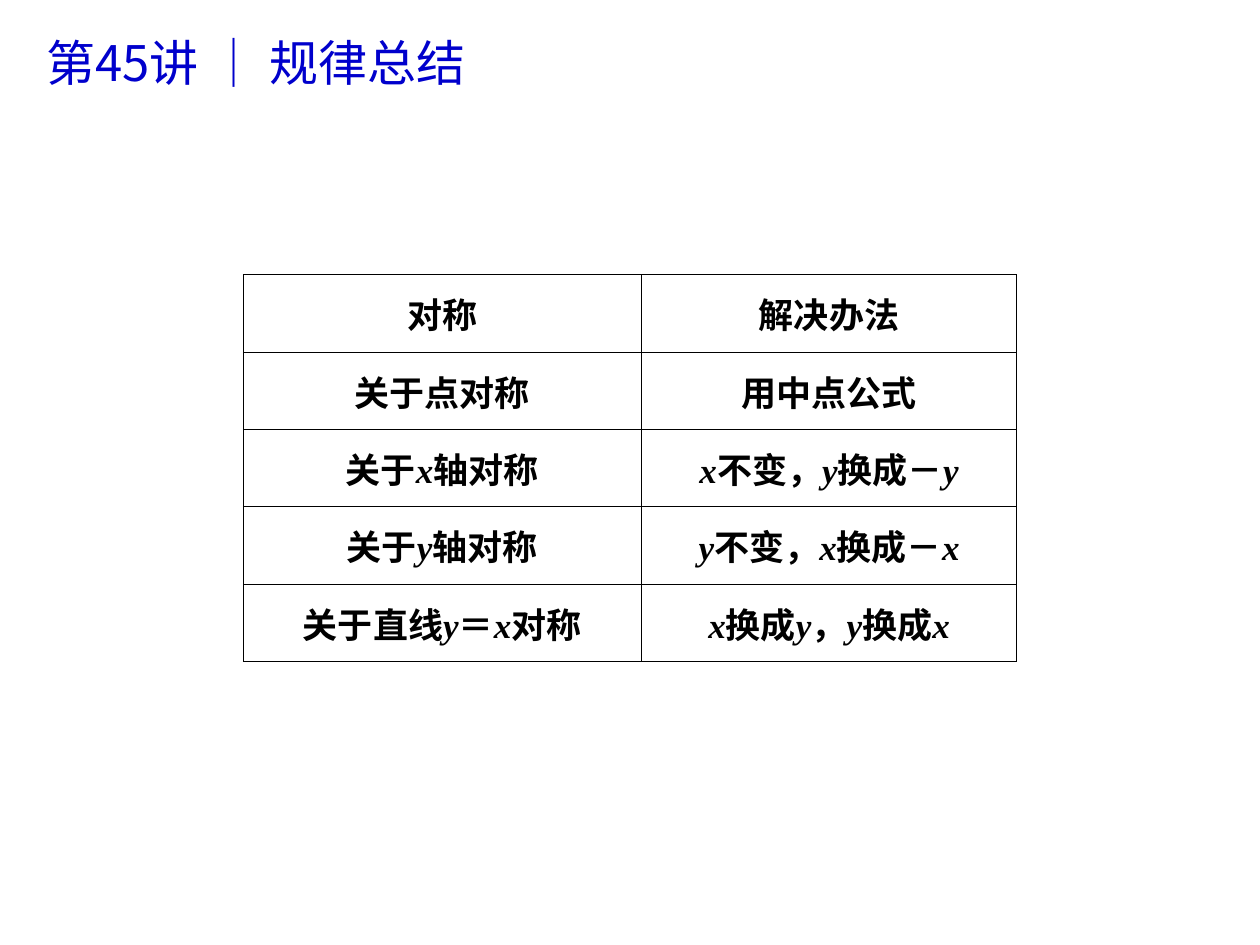
import itertools
from dataclasses import dataclass

import lxml.etree
import pptx
import pptx.dml.color
import pptx.enum.text
import pptx.oxml.ns
import pptx.util
from pptx.util import Inches

CHINESE_FONT = "Noto Sans CJK SC"
LATIN_FONT = "Times New Roman"
BLACK = "000000"
TITLE_BLUE = "0000CC"
ROW_HEIGHT = 0.614
COLUMN_WIDTHS = (3.16, 2.98)


@dataclass
class SymmetryRule:
    symmetry: str
    method: str


RULES = [
    SymmetryRule("对称", "解决办法"),
    SymmetryRule("关于点对称", "用中点公式"),
    SymmetryRule("关于x轴对称", "x不变，y换成－y"),
    SymmetryRule("关于y轴对称", "y不变，x换成－x"),
    SymmetryRule("关于直线y＝x对称", "x换成y，y换成x"),
]


def rgb(value: str) -> pptx.dml.color.RGBColor:
    return pptx.dml.color.RGBColor.from_string(value)


def add_element(parent, tag: str, **attributes: str):
    return lxml.etree.SubElement(parent, pptx.oxml.ns.qn(tag), **attributes)


def format_run(run, size: float, latin: str, color: str) -> None:
    run.font.size = pptx.util.Pt(size)
    run.font.color.rgb = rgb(color)
    run.font.name = latin
    add_element(run.font._element, "a:ea", typeface=CHINESE_FONT)


def add_borders(cell, color: str, width: float) -> None:
    properties = cell._tc.get_or_add_tcPr()
    for side in ("a:lnL", "a:lnR", "a:lnT", "a:lnB"):
        border = add_element(properties, side, w=str(pptx.util.Pt(width)))
        fill = add_element(border, "a:solidFill")
        add_element(fill, "a:srgbClr", val=color)


def fill_cell(cell, content: str) -> None:
    add_borders(cell, BLACK, 0.45)
    cell.fill.background()
    cell.vertical_anchor = pptx.enum.text.MSO_ANCHOR.MIDDLE
    paragraph = cell.text_frame.paragraphs[0]
    paragraph.alignment = pptx.enum.text.PP_ALIGN.CENTER
    for is_variable, letters in itertools.groupby(content, str.isascii):
        run = paragraph.add_run()
        run.text = "".join(letters)
        format_run(run, 20, LATIN_FONT, BLACK)
        run.font.bold = True
        run.font.italic = is_variable


def add_title(slide, content: str) -> None:
    title = slide.shapes.add_textbox(Inches(0.27), Inches(0.21), Inches(5.28), Inches(0.57))
    title.text_frame.word_wrap = True
    title.text_frame.auto_size = pptx.enum.text.MSO_AUTO_SIZE.SHAPE_TO_FIT_TEXT
    title.text_frame.text = content
    format_run(title.text_frame.paragraphs[0].runs[0], 28, CHINESE_FONT, TITLE_BLUE)


def add_rules(slide, rules: list[SymmetryRule]) -> None:
    rule_table = slide.shapes.add_table(
        len(rules), len(COLUMN_WIDTHS), Inches(1.93), Inches(2.18),
        Inches(sum(COLUMN_WIDTHS)), Inches(ROW_HEIGHT * len(rules)),
    ).table
    rule_table.first_row = False
    rule_table.horz_banding = False
    for column, width in zip(rule_table.columns, COLUMN_WIDTHS):
        column.width = Inches(width)
    for row, rule in zip(rule_table.rows, rules):
        row.height = Inches(ROW_HEIGHT)
        for cell, content in zip(row.cells, (rule.symmetry, rule.method)):
            fill_cell(cell, content)


def main() -> None:
    presentation = pptx.Presentation()
    presentation.slide_width = Inches(10)
    presentation.slide_height = Inches(7.5)
    slide = presentation.slides.add_slide(presentation.slide_layouts[6])
    add_title(slide, "第45讲 │ 规律总结")
    add_rules(slide, RULES)
    presentation.save("out.pptx")


if __name__ == "__main__":
    main()
